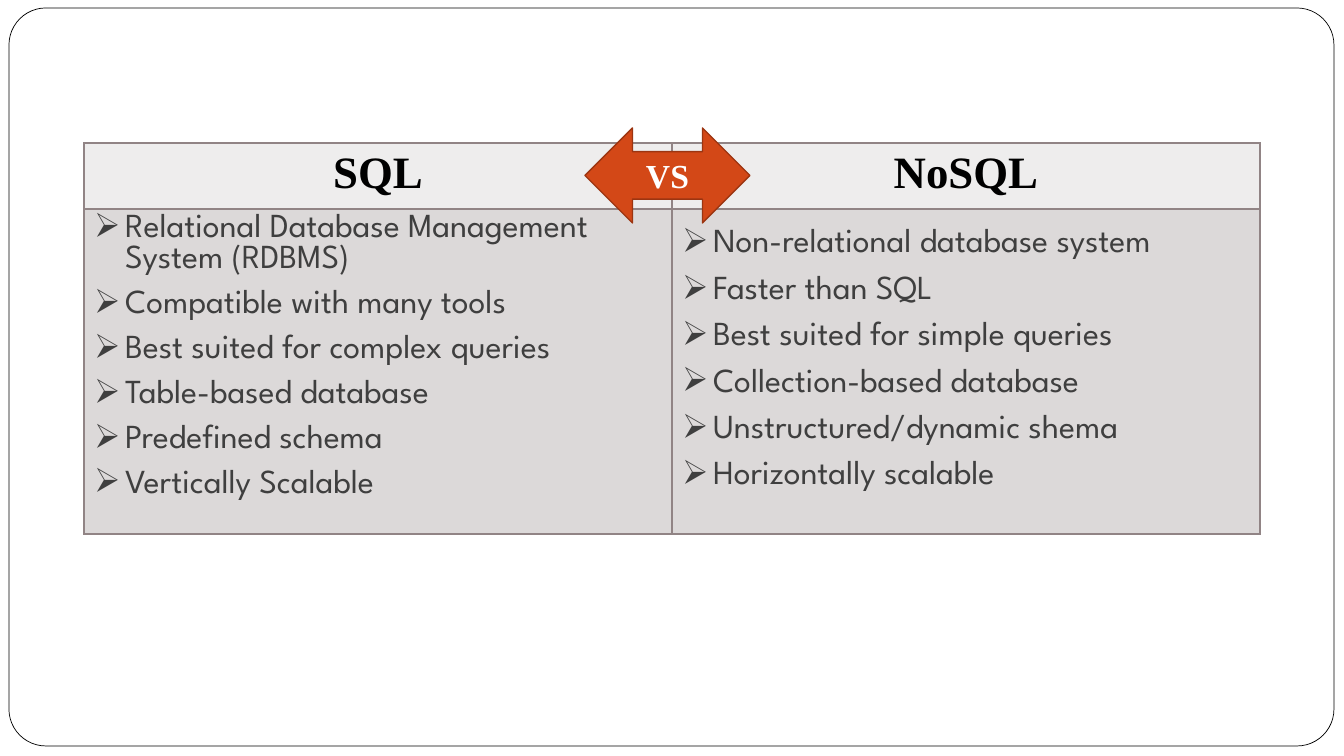
import lxml.etree
import pptx
import pptx.dml.color
import pptx.enum.shapes
import pptx.enum.text
import pptx.oxml.ns
import pptx.util

SCALE = 914400 / 100.8
SHAPES = pptx.enum.shapes.MSO_SHAPE
CENTER = pptx.enum.text.PP_ALIGN.CENTER
HEADING_FONT, BODY_FONT = "Times New Roman", "League Spartan"
INDENT = 31

SQL_POINTS = [
    "Relational Database Management System (RDBMS)",
    "Compatible with many tools",
    "Best suited for complex queries",
    "Table-based database",
    "Predefined schema",
    "Vertically Scalable",
]
NOSQL_POINTS = [
    "Non-relational database system",
    "Faster than SQL",
    "Best suited for simple queries",
    "Collection-based database",
    "Unstructured/dynamic shema",
    "Horizontally scalable",
]


def px(length):
    return pptx.util.Emu(round(length * SCALE))


def color(hex_code):
    return pptx.dml.color.RGBColor.from_string(hex_code)


def add_child(parent, tag, **attributes):
    return lxml.etree.SubElement(parent, pptx.oxml.ns.qn(tag), attributes)


def add_run(paragraph, text, size, font, hex_code, bold=False):
    run = paragraph.add_run()
    run.text = text
    run.font.size = pptx.util.Pt(size)
    run.font.name = font
    run.font.bold = bold
    run.font.color.rgb = color(hex_code)


def add_outlined(slide, preset, box, fill, line, width):
    shape = slide.shapes.add_shape(preset, *map(px, box))
    shape.shadow.inherit = False
    shape.fill.solid()
    shape.fill.fore_color.rgb = color(fill)
    shape.line.color.rgb = color(line)
    shape.line.width = pptx.util.Pt(width)
    return shape


def add_frame(slide, box):
    frame = add_outlined(slide, SHAPES.ROUNDED_RECTANGLE, box, "FFFFFF", "000000", 0.5)
    frame.adjustments[0] = 0.05


def style_cell(cell, fill):
    """Give the cell its four borders, then its fill, in schema order."""
    properties = cell._tc.get_or_add_tcPr()
    for side in ("a:lnL", "a:lnR", "a:lnT", "a:lnB"):
        border = add_child(properties, side, w=str(pptx.util.Pt(1)))
        add_child(add_child(border, "a:solidFill"), "a:srgbClr", val="918485")
    cell.fill.solid()
    cell.fill.fore_color.rgb = color(fill)


def write_heading(cell, heading):
    style_cell(cell, "EEEDED")
    paragraph = cell.text_frame.paragraphs[0]
    paragraph.alignment = CENTER
    add_run(paragraph, heading, 32, HEADING_FONT, "000000", bold=True)


def write_points(cell, points, line_spacing, gap):
    """Fill the cell with bullets, leaving a gap in points between them."""
    style_cell(cell, "DCD9D9")
    for index, point in enumerate(points):
        frame = cell.text_frame
        paragraph = frame.add_paragraph() if index else frame.paragraphs[0]
        paragraph.line_spacing = line_spacing
        paragraph.space_before = pptx.util.Pt(gap if index else 0)
        properties = paragraph._p.get_or_add_pPr()
        properties.set("marL", str(px(INDENT)))
        properties.set("indent", str(-px(INDENT)))
        add_child(properties, "a:buChar", char="➢")
        add_run(paragraph, point, 24, BODY_FONT, "3F3F3F")


def add_comparison(slide, box, heading_height):
    left, top, width, height = box
    table = slide.shapes.add_table(2, 2, *map(px, box)).table
    for column in table.columns:
        column.width = px(width / 2)
    table.rows[0].height = px(heading_height)
    table.rows[1].height = px(height - heading_height)
    sides = [("SQL", SQL_POINTS, 1.0, 10), ("NoSQL", NOSQL_POINTS, 1.5, 0)]
    for column, (heading, points, line_spacing, gap) in enumerate(sides):
        write_heading(table.cell(0, column), heading)
        write_points(table.cell(1, column), points, line_spacing, gap)


def add_versus(slide, box):
    arrow = add_outlined(slide, SHAPES.LEFT_RIGHT_ARROW, box, "D34817", "9C3511", 1)
    arrow.text_frame.vertical_anchor = pptx.enum.text.MSO_ANCHOR.MIDDLE
    paragraph = arrow.text_frame.paragraphs[0]
    paragraph.alignment = CENTER
    add_run(paragraph, "VS", 24, HEADING_FONT, "FFFFFF", bold=True)


def main():
    deck = pptx.Presentation()
    deck.slide_width, deck.slide_height = px(1344), px(756)
    slide = deck.slides.add_slide(deck.slide_layouts[6])
    add_frame(slide, (9, 8, 1325, 738))
    add_comparison(slide, (84, 143, 1176, 391), 66)
    add_versus(slide, (585, 128, 165, 95))
    deck.save("out.pptx")


if __name__ == "__main__":
    main()
